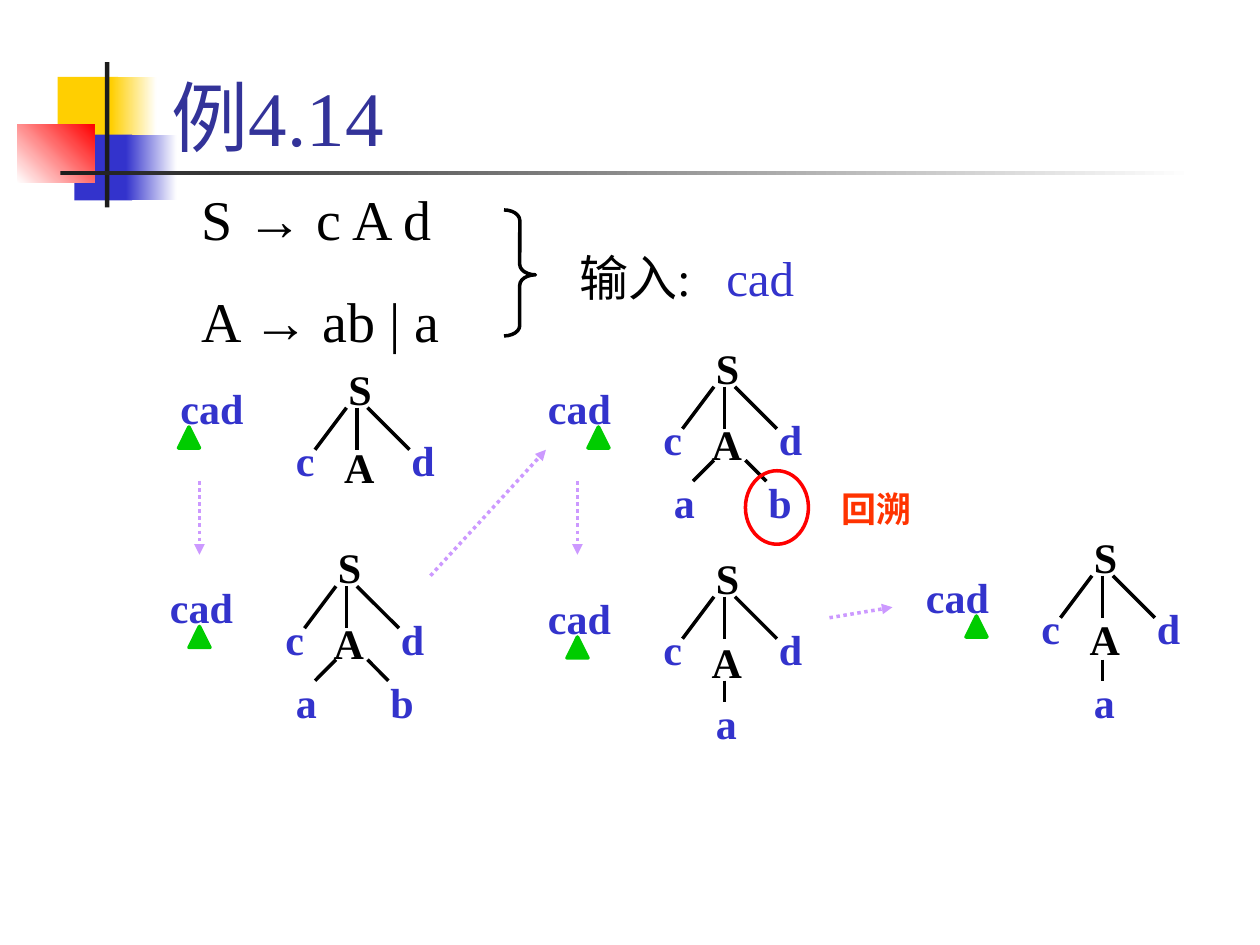
from lxml.etree import SubElement
from pptx import Presentation
from pptx.dml.color import RGBColor
from pptx.enum.dml import MSO_LINE
from pptx.enum.shapes import MSO_CONNECTOR, MSO_SHAPE as Kind
from pptx.enum.text import MSO_ANCHOR, MSO_AUTO_SIZE, PP_ALIGN
from pptx.oxml.ns import qn
from pptx.util import Pt

COLORS = {
    "black": "000000", "ink": "1C1C1C", "white": "FFFFFF", "title": "333399",
    "blue": "3333CC", "yellow": "FFCF01", "red": "FF0000", "orange": "FF3300",
    "green": "00CC00", "lilac": "CC99FF",
}
SERIF, SANS = "Times New Roman", "Arial"


def rgb(name):
    """Return the named colour."""
    return RGBColor.from_string(COLORS[name])


class ParseSlide:
    """Draws the parts of the parsing example on one slide."""

    def __init__(self, deck):
        self.page = deck.slides.add_slide(deck.slide_layouts[5])

    def shape(self, kind, frame, fill=None, line=None, fade=None, angle=0):
        """Add a preset shape with a plain, fading or empty fill."""
        shape = self.page.shapes.add_shape(kind, *map(Pt, frame))
        shape.shadow.inherit = False
        if fade:
            shape.fill.gradient()
            shape.fill.gradient_angle = angle
            for stop, name in zip(shape.fill.gradient_stops, (fill, fade)):
                stop.color.rgb = rgb(name)
        elif fill:
            shape.fill.solid()
            shape.fill.fore_color.rgb = rgb(fill)
        else:
            shape.fill.background()
        if line:
            shape.line.color.rgb = rgb(line)
            shape.line.width = Pt(2)
        else:
            shape.line.fill.background()
        return shape

    def line(self, start, end, color="black", arrow=False):
        """Add a straight line, or a dotted arrow."""
        link = self.page.shapes.add_connector(
            MSO_CONNECTOR.STRAIGHT, *map(Pt, (*start, *end)))
        link.line.color.rgb = rgb(color)
        link.line.width = Pt(2)
        if arrow:
            link.line.dash_style = MSO_LINE.ROUND_DOT
            SubElement(link.line._get_or_add_ln(), qn("a:tailEnd"), type="triangle")
        SubElement(link._element.spPr, qn("a:effectLst"))

    def title(self, text, frame):
        """Place the title in front of the decoration."""
        box = self.page.shapes.title
        self.page.shapes._spTree.append(box._element)
        box.left, box.top, box.width, box.height = map(Pt, frame)
        box.text_frame.auto_size = MSO_AUTO_SIZE.NONE
        box.text_frame.vertical_anchor = MSO_ANCHOR.BOTTOM
        para = box.text_frame.paragraphs[0]
        para.text = text
        para.alignment = PP_ALIGN.LEFT
        self.style(para, 44, "title")

    def style(self, para, size, color, bold=False):
        """Set the font of a paragraph."""
        para.font.name = SERIF
        para.font.size = Pt(size)
        para.font.bold = bold
        para.font.color.rgb = rgb(color)

    def text(self, frame, paragraphs, size=24, color="blue", bold=True, tab=None):
        """Add a text box; each paragraph is a list of (text, font, colour) spans."""
        box = self.page.shapes.add_textbox(*map(Pt, frame))
        box.text_frame.word_wrap = True
        for index, spans in enumerate(paragraphs):
            para = box.text_frame.add_paragraph() if index else box.text_frame.paragraphs[0]
            para.space_before = Pt(size * 0.625)
            if tab:
                stops = SubElement(para._p.get_or_add_pPr(), qn("a:tabLst"))
                SubElement(stops, qn("a:tab"), pos=str(Pt(tab)), algn="l")
            self.style(para, size, color, bold)
            for content, font, tint in spans:
                span = para.add_run()
                span.text = content
                if font:
                    span.font.name = font
                if tint:
                    span.font.color.rgb = rgb(tint)

    def label(self, x, y, content, color="blue", width=24):
        """Add one bold label of a tree."""
        self.text((x, y, width, 36), [[(content, None, None)]], color=color)

    def tree(self, x, y, middle=14.4, twig=42, leaves=""):
        """Draw a parse tree whose branches start around (x, y)."""
        self.label(x - 12, y - 29, "S", "black")
        self.label(x - 42, y + 12, "c")
        self.label(x + 24, y + 12, "d")
        self.label(x - 14.4, y + middle, "A", "black", 36)
        for near, far in ((-6, -24), (0, 0), (6, 30)):
            self.line((x + near, y), (x + far, y + 24))
        spread = {"": [], "a": [(0, 0, -12)], "ab": [(-6, -18, -36), (12, 24, 18)]}
        for leaf, (near, far, left) in zip(leaves, spread[leaves]):
            self.line((x + near, y + twig), (x + far, y + twig + 12))
            self.label(x + left, y + twig + 6, leaf)

    def tape(self, x, y, consumed):
        """Show the input with a pointer under the current symbol."""
        self.label(x, y, "cad", width=54)
        self.shape(Kind.ISOSCELES_TRIANGLE, (x + 6 + 12 * consumed, y + 29, 12, 12),
                   "green", "green")


def main():
    """Build the slide and save it."""
    deck = Presentation()
    deck.slide_width, deck.slide_height = Pt(720), Pt(540)
    slide = ParseSlide(deck)

    for frame, fill, fade, angle in (
        ((33, 44, 34.5, 37.5), "yellow", None, 0),
        ((63.5, 44, 26, 37.5), "yellow", "white", 0),
        ((42.5, 77, 33, 37.5), "blue", None, 0),
        ((72, 77, 29, 37.5), "blue", "white", 0),
        ((10, 71, 44, 33.5), "white", "red", 45),
        ((60, 35.5, 2.5, 83), "ink", None, 0),
        ((34.5, 97.75, 648, 2.5), "ink", "white", 0),
    ):
        slide.shape(Kind.RECTANGLE, frame, fill, fade=fade, angle=angle)
    slide.title("例4.14", (91, 6, 613, 90))

    slide.text((108, 102, 174, 142),
               [[(head, None, None), ("→", SANS, None), (body, None, None)]
                for head, body in (("S ", " c A d"), ("A ", " ab | a"))],
               size=32, color="black", bold=False)
    brace = slide.shape(Kind.RIGHT_BRACE, (288, 120, 18, 72), line="black")
    brace.adjustments[0], brace.adjustments[1] = 0.33, 0.515
    slide.text((324, 138, 144, 41),
               [[("输入:\t", None, None), ("cad", None, "blue")]],
               size=28, color="black", bold=False, tab=84)

    for x, y, tape_rise, consumed, shape in (
        (204, 233, 18, 0, {"middle": 16}),
        (198, 335, 6, 1, {"leaves": "ab"}),
        (414, 221, 6, 2, {"leaves": "ab"}),
        (414, 341, 6, 1, {"middle": 19, "twig": 48, "leaves": "a"}),
        (630, 329, 6, 2, {"middle": 18, "twig": 48, "leaves": "a"}),
    ):
        slide.tape(x - 108, y - tape_rise, consumed)
        slide.tree(x, y, **shape)

    slide.shape(Kind.OVAL, (426, 269, 36, 42), line="red")
    slide.text((474, 275, 180, 32), [[("回溯", None, None)]], size=20, color="orange")
    for start, end in (
        ((114, 275), (114, 317)),
        ((246, 329), (312, 257)),
        ((330, 275), (330, 317)),
        ((474, 353), (510, 347)),
    ):
        slide.line(start, end, "lilac", arrow=True)

    deck.save("out.pptx")


if __name__ == "__main__":
    main()
